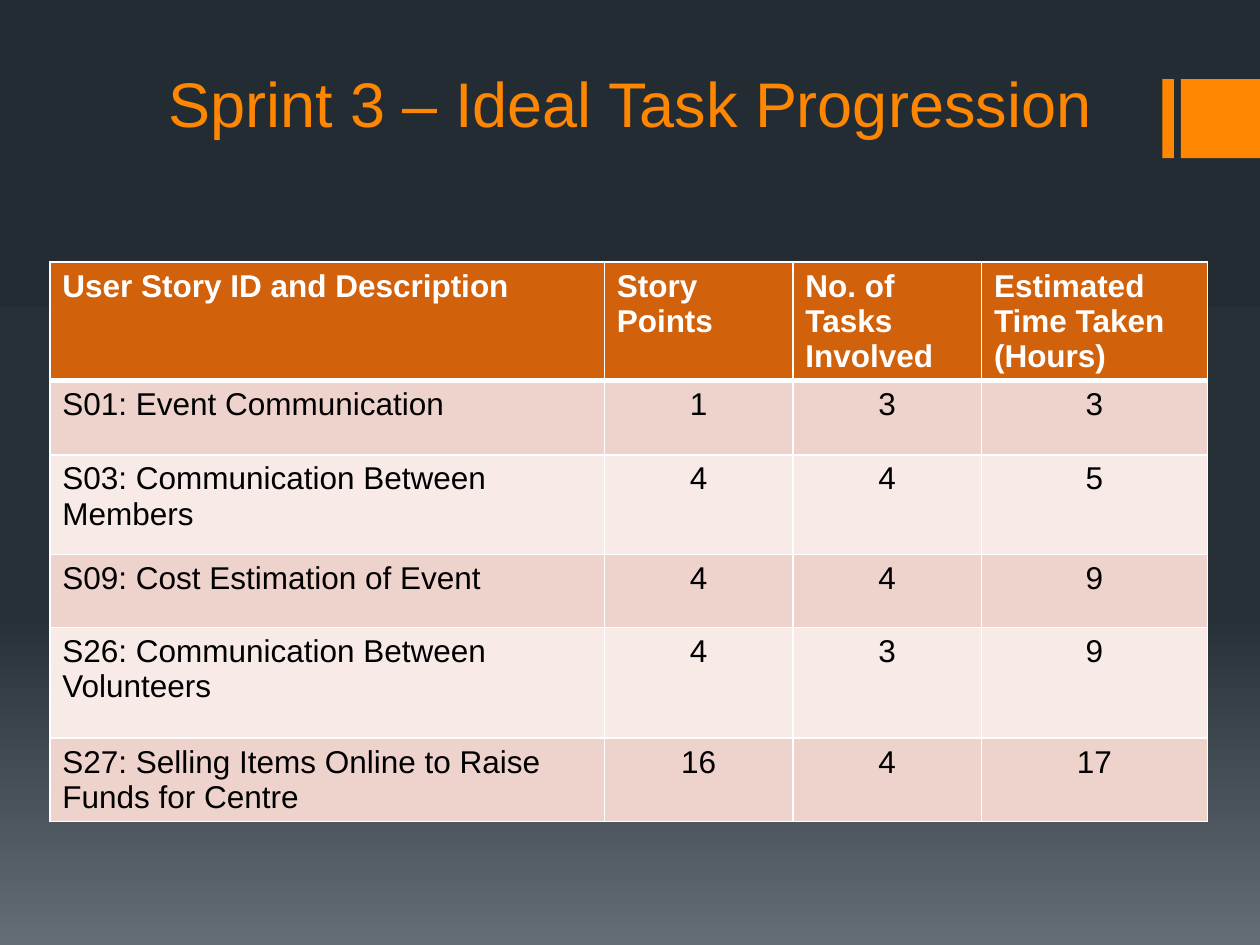
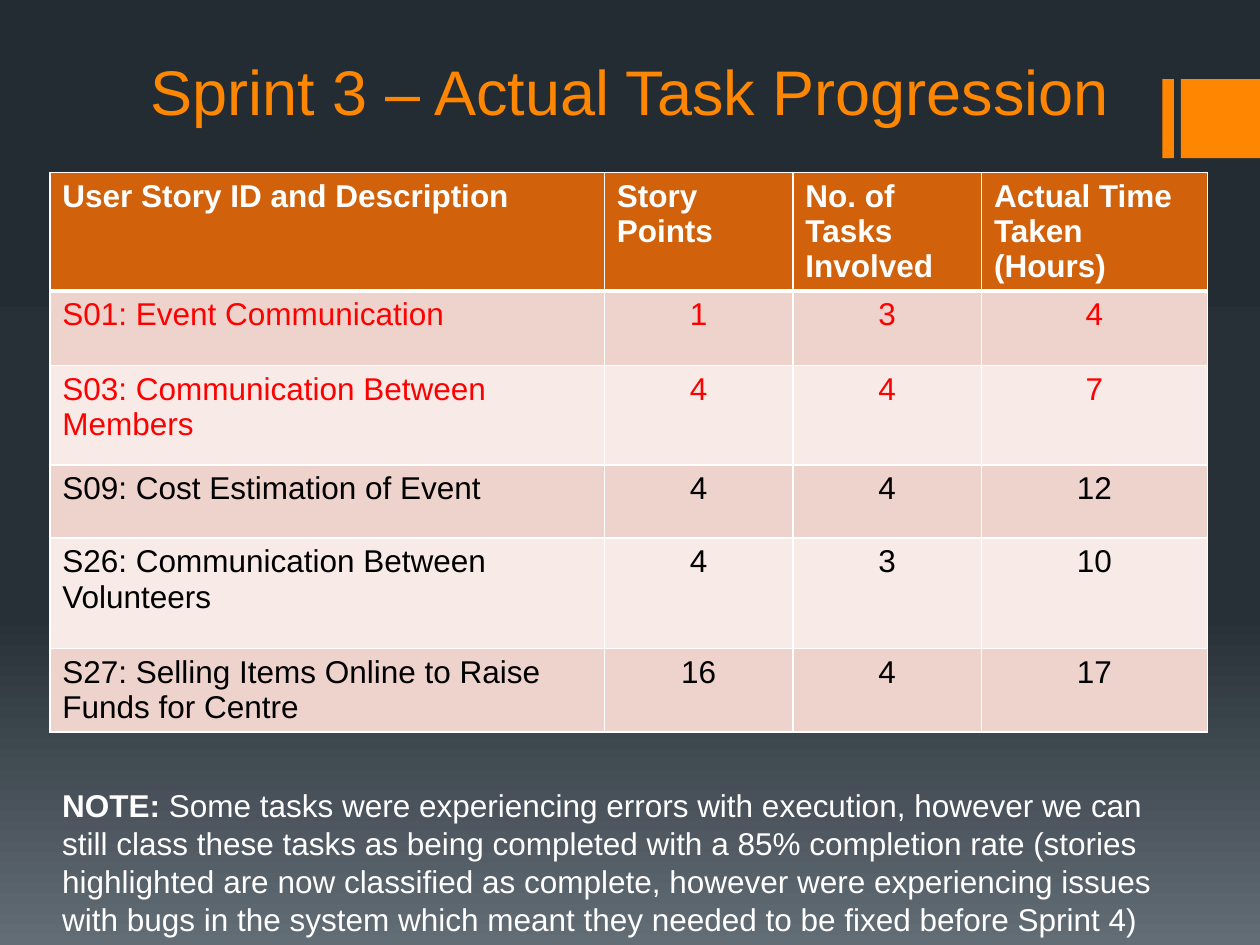
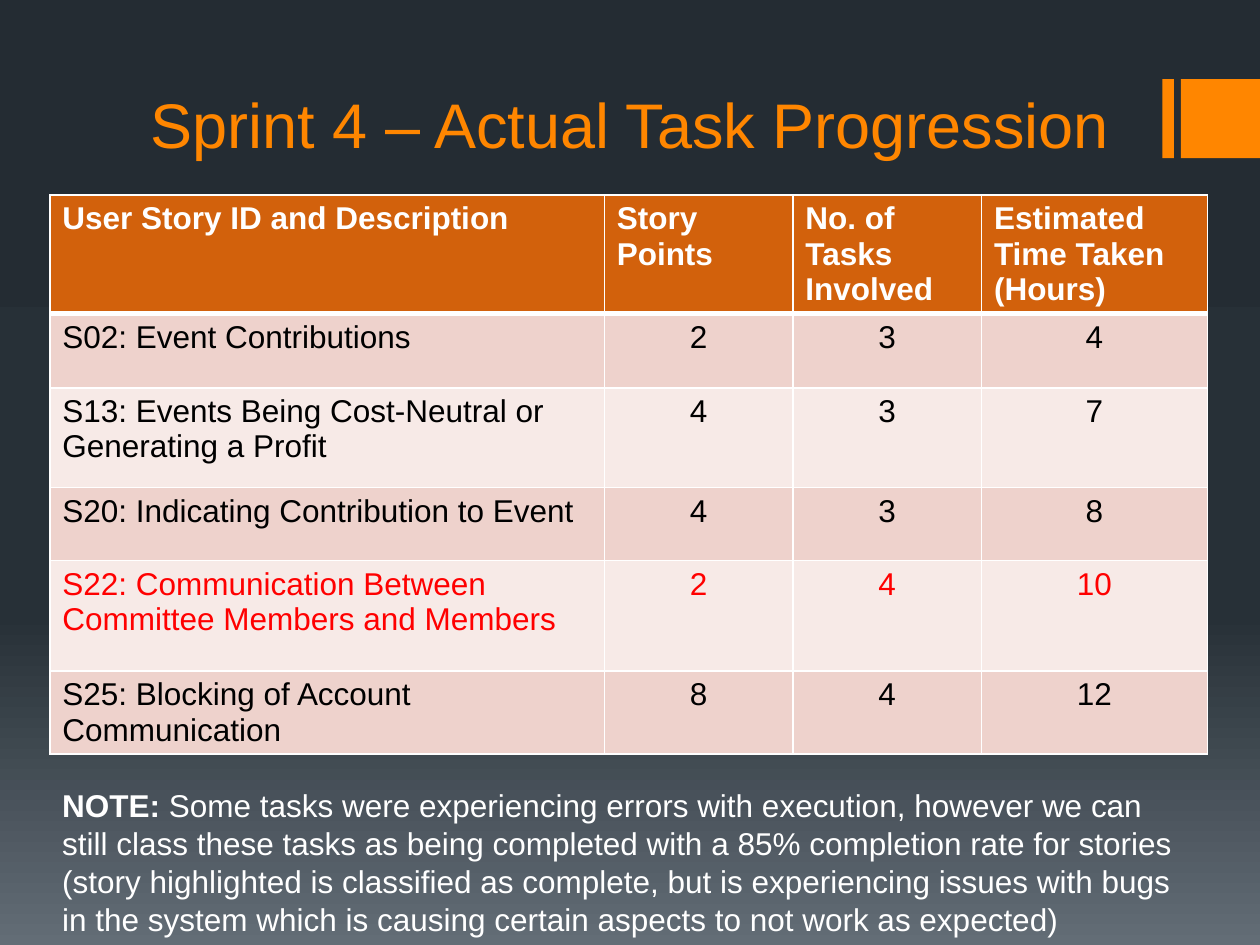
from copy import deepcopy
from lxml import etree
from pptx import Presentation
from pptx.dml.color import RGBColor
from pptx.enum.shapes import MSO_SHAPE
from pptx.enum.text import MSO_ANCHOR, MSO_AUTO_SIZE, PP_ALIGN
from pptx.oxml.ns import qn
from pptx.util import Pt

RECT = MSO_SHAPE.RECTANGLE
BOTTOM = MSO_ANCHOR.BOTTOM
FIXED = MSO_AUTO_SIZE.NONE
LEFT, CENTER = PP_ALIGN.LEFT, PP_ALIGN.CENTER

FONT = "Arial"
ORANGE, RUST = "FF8600", "D2610C"
PINK, PALE = "EED2CC", "F7EAE7"
WHITE, BLACK, RED = "FFFFFF", "000000", "FF0000"
SKY = [(0, "242C33"), (0.65, "273037"), (1, "636D76")]

EDGE, WIDTH = 28.5, 661.5
COLS = [316.8, 107.8, 107.8, 129.1]
ROWS = [63.4, 42.5, 56.9, 41.8, 63.2, 36.7]
BARS = [(664.2, 6.6), (674.8, 45.2)]

HEAD = ["User Story ID and Description", "Story Points", "No. of Tasks Involved"]
GUESS, REAL = "Estimated Time Taken (Hours)", "Actual Time Taken (Hours)"
NOTE = (" Some tasks were experiencing errors with execution, however we can still "
        "class these tasks as being completed with a 85% completion rate ")

S01, S03, S09, S26, S27 = [
    "S01: Event Communication",
    "S03: Communication Between Members",
    "S09: Cost Estimation of Event",
    "S26: Communication Between Volunteers",
    "S27: Selling Items Online to Raise Funds for Centre",
]

PAGES = [
    dict(title="Sprint 3 – Ideal Task Progression", rise=25.6, top=149.8,
         time=GUESS, red=[], note="",
         rows=[(S01, 1, 3, 3), (S03, 4, 4, 5), (S09, 4, 4, 9),
               (S26, 4, 3, 9), (S27, 16, 4, 17)]),
    dict(title="Sprint 3 – Actual Task Progression", rise=18.7, top=98.6,
         time=REAL, red=[1, 2],
         note=NOTE + "(stories highlighted are now classified as complete, however "
         "were experiencing issues with bugs in the system which meant they needed "
         "to be fixed before Sprint 4)",
         rows=[(S01, 1, 3, 4), (S03, 4, 4, 7), (S09, 4, 4, 12),
               (S26, 4, 3, 10), (S27, 16, 4, 17)]),
    dict(title="Sprint 4 – Actual Task Progression", rise=37.1, top=111.4,
         time=GUESS, red=[4],
         note=NOTE + "for stories (story highlighted is classified as complete, but "
         "is experiencing issues with bugs in the system which is causing certain "
         "aspects to not work as expected)",
         rows=[("S02: Event Contributions", 2, 3, 4),
               ("S13: Events Being Cost-Neutral or Generating a Profit", 4, 3, 7),
               ("S20: Indicating Contribution to Event", 4, 3, 8),
               ("S22: Communication Between Committee Members and Members", 2, 4, 10),
               ("S25: Blocking of Account Communication", 8, 4, 12)]),
]


def paint(item, tint):
    if hasattr(item, "solid"):
        item.solid()
        item = item.fore_color
    item.rgb = RGBColor.from_string(tint)


def style(para, size, tint, bold=False, align=LEFT):
    para.alignment = align
    for run in para.runs:
        run.font.name = FONT
        run.font.size = Pt(size)
        run.font.bold = bold
        paint(run.font.color, tint)


deck = Presentation()
deck.slide_width, deck.slide_height = Pt(720), Pt(540)
master = deck.slide_master

back = master.background.fill
back.gradient()
back.gradient_angle = 270
stops = master.element.find(".//" + qn("a:gsLst"))
stops.append(deepcopy(stops[0]))
for stop, (place, tint) in zip(back.gradient_stops, SKY):
    stop.position = place
    paint(stop.color, tint)

for page in PAGES:
    slide = deck.slides.add_slide(deck.slide_layouts[5])

    title = slide.shapes.title
    title.left, title.top = Pt(72), Pt(page["rise"])
    title.width, title.height = Pt(576), Pt(58.3)
    frame = title.text_frame
    frame.text = page["title"]
    frame.auto_size = FIXED
    frame.vertical_anchor = BOTTOM
    style(frame.paragraphs[0], 36, ORANGE, align=CENTER)

    grid = slide.shapes.add_table(len(ROWS), len(COLS), Pt(EDGE), Pt(page["top"]),
                                  Pt(WIDTH), Pt(sum(ROWS))).table
    for col, width in zip(grid.columns, COLS):
        col.width = Pt(width)
    for row, height in zip(grid.rows, ROWS):
        row.height = Pt(height)

    for i, data in enumerate([HEAD + [page["time"]]] + page["rows"]):
        for j, value in enumerate(data):
            cell = grid.cell(i, j)
            props = cell._tc.get_or_add_tcPr()
            for side in "LRTB":
                thick = (i, side) in [(0, "B"), (1, "T")]
                line = etree.SubElement(props, qn("a:ln" + side),
                                        w=str(Pt(3 if thick else 1)))
                fill = etree.SubElement(line, qn("a:solidFill"))
                etree.SubElement(fill, qn("a:srgbClr"), val=WHITE)
            cell.text_frame.text = str(value)
            para = cell.text_frame.paragraphs[0]
            if i == 0:
                paint(cell.fill, RUST)
                style(para, 18, WHITE, bold=True)
            else:
                paint(cell.fill, PINK if i % 2 else PALE)
                style(para, 18, RED if i in page["red"] else BLACK,
                      align=CENTER if j else LEFT)

    if page["note"]:
        box = slide.shapes.add_textbox(Pt(EDGE), Pt(445.7), Pt(WIDTH), Pt(94.3))
        box.text_frame.word_wrap = True
        para = box.text_frame.paragraphs[0]
        for text in ("NOTE:", page["note"]):
            para.add_run().text = text
        style(para, 18, WHITE)
        para.runs[0].font.bold = True

tree = master.element.find(".//" + qn("p:spTree"))
for i, (left, width) in enumerate(BARS):
    bar = slide.shapes.add_shape(RECT, Pt(left), Pt(45.2), Pt(width), Pt(45.2))
    bar.shadow.inherit = False
    paint(bar.fill, ORANGE)
    bar.line.fill.background()
    bar.name = f"Bar {i + 1}"
    bar.element.find(".//" + qn("p:cNvPr")).set("id", str(20 + i))
    tree.append(bar.element)

deck.save("out.pptx")
